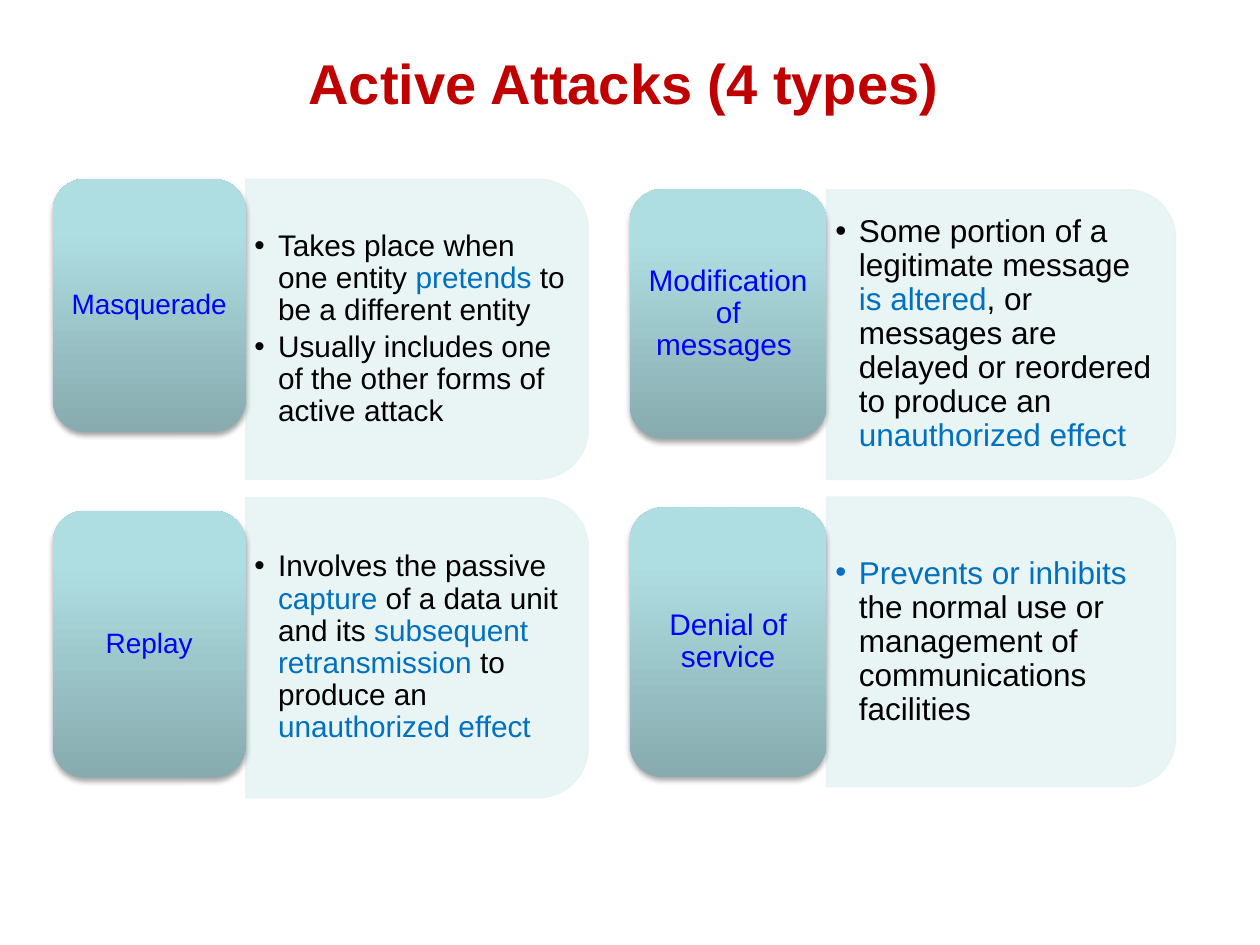
from dataclasses import dataclass

from pptx import Presentation
from pptx.dml.color import RGBColor as Rgb
from pptx.enum.shapes import MSO_SHAPE as Kind
from pptx.enum.text import MSO_ANCHOR as Anchor, MSO_AUTO_SIZE as Fit, PP_ALIGN as Align
from pptx.oxml import parse_xml
from pptx.oxml.ns import nsdecls
from pptx.slide import Slide
from pptx.text.text import TextFrame, _Paragraph as Para, _Run as Run
from pptx.util import Pt


@dataclass(frozen=True)
class Theme:
    font: str = "Arial"
    title: str = "C00000"
    label: str = "0000FF"
    body: str = "000000"
    accent: str = "0070C0"
    panel: str = "E7F3F4"
    stops: tuple = ((0, "87ABAE"), (80, "AFDEE2"), (100, "AFE0E4"))
    head: float = 32


@dataclass(frozen=True)
class Column:
    left: float
    label: float
    panel: float
    height: float
    name: float
    body: float


@dataclass(frozen=True)
class Card:
    col: Column
    slot: int
    top: float
    tag_top: float
    tag_high: float
    name: str
    items: tuple


THEME = Theme()
LEFT = Column(30.2, 110.2, 195.8, 171.4, 16, 17)
RIGHT = Column(360, 112.3, 199.4, 165.6, 17, 18)

CARDS = (
    Card(LEFT, 1, 102.4, 102.2, 144.7, "Masquerade", (
        "Takes place when one entity *pretends* to be a different entity",
        "Usually includes one of the other forms of active attack")),
    Card(LEFT, 2, 284.4, 291.8, 152.6, "Replay", (
        "Involves the passive *capture* of a data unit and its "
        "*subsequent retransmission *to produce an *unauthorized effect*",)),
    Card(RIGHT, 3, 108.4, 108, 142.6, "Modification of messages ", (
        "Some portion of a legitimate message *is altered*, or messages are "
        "delayed or reordered to produce an *unauthorized effect*",)),
    Card(RIGHT, 4, 284, 290, 154.1, "Denial of service", (
        "*Prevents or inhibits *the normal use or management of "
        "communications facilities",)),
)


def style(run: Run, size: float, color: str, bold: bool = False) -> None:
    run.font.name = THEME.font
    run.font.size = Pt(size)
    run.font.bold = bold
    run.font.color.rgb = Rgb.from_string(color)


def setup(frame: TextFrame) -> None:
    frame.word_wrap = True
    frame.auto_size = Fit.NONE
    frame.vertical_anchor = Anchor.MIDDLE
    frame.margin_left = frame.margin_right = Pt(5)
    frame.margin_top = frame.margin_bottom = Pt(2.7)


def space(para: Para, after: float) -> None:
    para.line_spacing = 0.9
    para.space_before = Pt(0)
    para.space_after = Pt(after)


def place(shape, left: float, top: float, width: float, height: float) -> None:
    shape.left, shape.top = Pt(left), Pt(top)
    shape.width, shape.height = Pt(width), Pt(height)


def add_panel(slide: Slide, card: Card):
    col = card.col
    mid_x = col.left + col.label + col.panel / 2
    mid_y = card.top + col.height / 2
    panel = slide.shapes.add_shape(
        Kind.ROUND_2_SAME_RECTANGLE,
        Pt(mid_x - col.height / 2), Pt(mid_y - col.panel / 2),
        Pt(col.height), Pt(col.panel))
    panel.rotation = 90
    panel.shadow.inherit = False
    panel.line.width = Pt(0.75)
    for fill in (panel.fill, panel.line.fill):
        fill.solid()
        fill.fore_color.rgb = Rgb.from_string(THEME.panel)
    for color in panel.element.spPr.xpath(".//a:srgbClr"):
        color.append(parse_xml(f'<a:alpha {nsdecls("a")} val="90000"/>'))
    return panel


def fill_list(slide: Slide, card: Card, panel) -> None:
    col = card.col
    box = slide.placeholders[card.slot]
    place(box, col.left + col.label, card.top + 8, col.panel - 8.2, col.height - 16)
    panel.element.addnext(box.element)
    frame = box.text_frame
    setup(frame)
    frame.text = "\n".join(card.items)
    for para in frame.paragraphs:
        parts = para.text.split("*")
        para.clear()
        props = para._p.get_or_add_pPr()
        props.set("marL", str(Pt(13.5)))
        props.set("indent", str(-Pt(13.5)))
        props.append(parse_xml(f'<a:buChar {nsdecls("a")} char="•"/>'))
        para.alignment = Align.LEFT
        space(para, col.body * 0.15)
        for spot, part in enumerate(parts):
            if part:
                run = para.add_run()
                run.text = part
                style(run, col.body, THEME.accent if spot % 2 else THEME.body)


def add_label(slide: Slide, card: Card) -> None:
    col = card.col
    label = slide.shapes.add_shape(
        Kind.ROUNDED_RECTANGLE, Pt(col.left), Pt(card.tag_top),
        Pt(col.label), Pt(card.tag_high))
    label.line.fill.background()
    stops = "".join(
        f'<a:gs pos="{pos * 1000}"><a:srgbClr val="{color}"/></a:gs>'
        for pos, color in THEME.stops)
    props = label.element.spPr
    props.insert(2, parse_xml(
        f'<a:gradFill {nsdecls("a")} rotWithShape="1"><a:gsLst>{stops}</a:gsLst>'
        '<a:lin ang="16200000" scaled="0"/></a:gradFill>'))
    props.append(parse_xml(
        f'<a:effectLst {nsdecls("a")}>'
        f'<a:outerShdw blurRad="{Pt(3.1)}" dist="{Pt(1.8)}" dir="5400000" rotWithShape="0">'
        '<a:srgbClr val="000000"><a:alpha val="35000"/></a:srgbClr>'
        '</a:outerShdw></a:effectLst>'))
    frame = label.text_frame
    setup(frame)
    frame.text = card.name
    para = frame.paragraphs[0]
    para.alignment = Align.CENTER
    space(para, col.name * 0.35)
    style(para.runs[0], col.name, THEME.label)


def add_title(slide: Slide, text: str) -> None:
    title = slide.shapes.title
    place(title, 167.8, 23.8, 377.3, 46)
    frame = title.text_frame
    frame.text = text
    frame.word_wrap = False
    frame.auto_size = Fit.NONE
    style(frame.paragraphs[0].runs[0], THEME.head, THEME.title, True)


def main() -> None:
    deck = Presentation()
    deck.slide_width, deck.slide_height = Pt(720), Pt(540)
    slide = deck.slides.add_slide(deck.slide_layouts.get_by_name("Comparison"))
    add_title(slide, "Active Attacks (4 types)")
    for card in CARDS:
        panel = add_panel(slide, card)
        fill_list(slide, card, panel)
        add_label(slide, card)
    deck.save("out.pptx")


if __name__ == "__main__":
    main()
